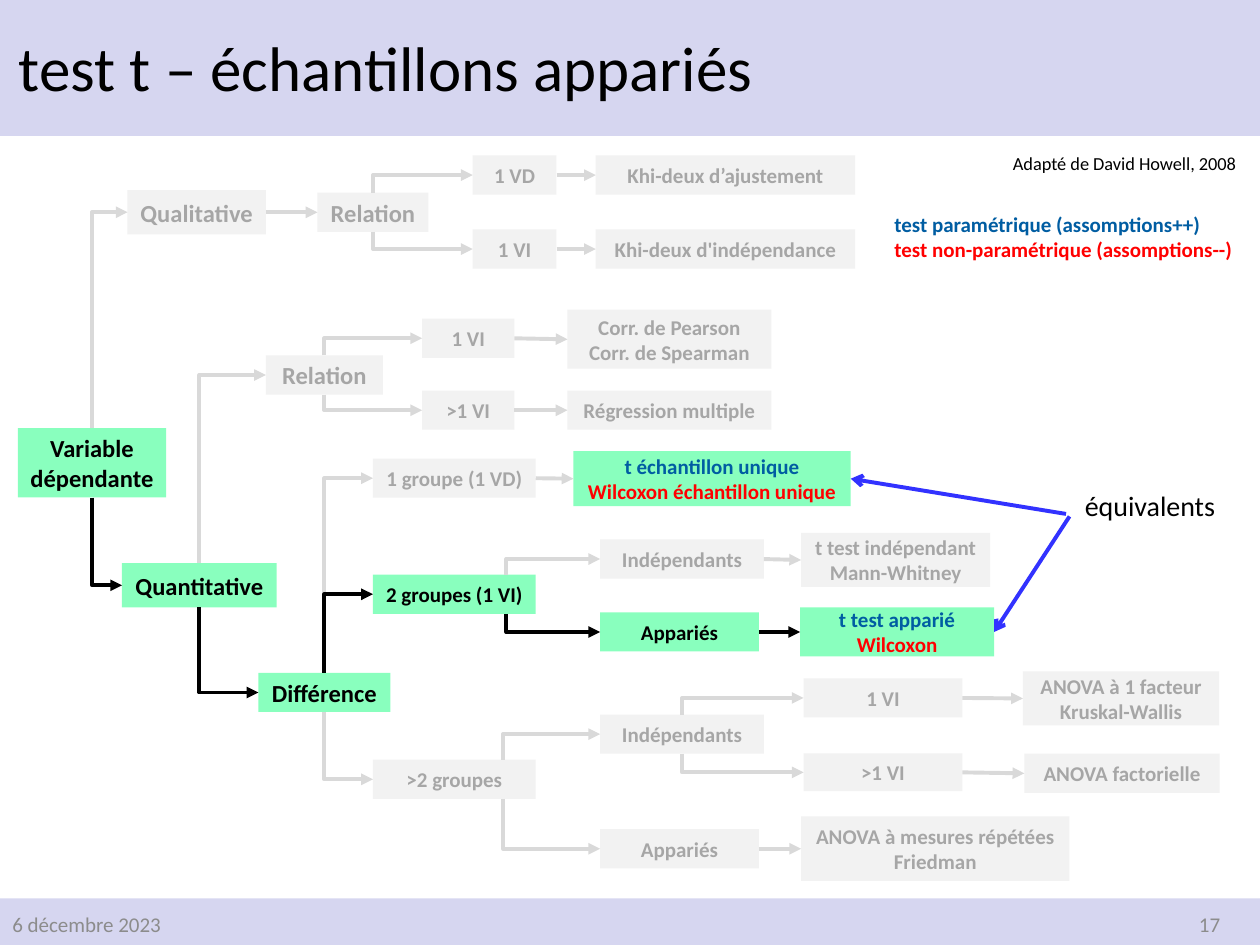
from lxml.etree import SubElement
from pptx import Presentation
from pptx.dml.color import RGBColor
from pptx.enum.shapes import MSO_CONNECTOR, MSO_SHAPE
from pptx.enum.text import MSO_ANCHOR, MSO_AUTO_SIZE, PP_ALIGN
from pptx.oxml.ns import qn
from pptx.util import Cm, Pt

LAVENDER = RGBColor(0xD6, 0xD6, 0xF0)
GREEN = RGBColor(0x89, 0xFF, 0xBE)
PALE = RGBColor(0xF2, 0xF2, 0xF2)
LINE_GREY = RGBColor(0xD9, 0xD9, 0xD9)
TEXT_GREY = RGBColor(0xA6, 0xA6, 0xA6)
FOOTER_GREY = RGBColor(0x8C, 0x8C, 0x8C)
BLACK = RGBColor(0, 0, 0)
BLUE = RGBColor(0x00, 0x5D, 0xA2)
RED = RGBColor(0xFF, 0, 0)
ARROW_BLUE = RGBColor(0x32, 0x32, 0xFF)

TOP, LEFT, BOTTOM, RIGHT = range(4)

NODES = {
    "variable": (0.36, 6.33, 2.99, 1.4, "Variable dépendante", 14),
    "qualitative": (2.57, 1.28, 2.79, 0.89, "Qualitative", 14),
    "quantitative": (2.46, 8.8, 3.12, 0.89, "Quantitative", 14),
    "qual relation": (6.4, 1.28, 2.24, 0.79, "Relation", 14),
    "qual 1 VD": (9.53, 0.53, 1.69, 0.79, "1 VD", 12),
    "qual 1 VI": (9.53, 2.02, 1.69, 0.79, "1 VI", 12),
    "ajustement": (12.01, 0.53, 5.23, 0.79, "Khi-deux d’ajustement", 12),
    "indépendance": (12.01, 2.02, 5.23, 0.79, "Khi-deux d'indépendance", 12),
    "quant relation": (5.36, 4.56, 2.36, 0.79, "Relation", 14),
    "corr 1 VI": (8.51, 3.82, 1.86, 0.79, "1 VI", 12),
    "corr >1 VI": (8.51, 5.27, 1.86, 0.79, ">1 VI", 12),
    "corrélation": (11.44, 3.84, 4.11, 1.19, "Corr. de Pearson\vCorr. de Spearman", 12),
    "régression": (11.44, 5.27, 4.11, 0.79, "Régression multiple", 12),
    "différence": (5.21, 10.96, 2.66, 0.79, "Différence", 14),
    "1 groupe": (7.52, 6.64, 3.28, 0.79, "1 groupe (1 VD)", 12),
    "2 groupes": (7.52, 8.98, 3.28, 0.79, "2 groupes (1 VI)", 12),
    ">2 groupes": (7.52, 12.71, 3.28, 0.79, ">2 groupes", 12),
    "t unique": (11.56, 6.65, 5.59, 1.11,
                 "t échantillon unique\nWilcoxon échantillon unique", 12),
    "2 indépendants": (12.1, 8.27, 3.3, 0.79, "Indépendants", 12),
    "2 appariés": (12.1, 9.74, 3.2, 0.79, "Appariés", 12),
    "t indépendant": (16.15, 8.29, 3.81, 1.09, "t test indépendant\vMann-Whitney", 12),
    "t apparié": (16.13, 9.74, 3.91, 0.99, "t test apparié\vWilcoxon", 12),
    ">2 indépendants": (12.1, 11.8, 3.3, 0.79, "Indépendants", 12),
    ">2 appariés": (12.1, 14.11, 3.2, 0.79, "Appariés", 12),
    "anova 1 VI": (16.2, 11.07, 3.2, 0.79, "1 VI", 12),
    "anova >1 VI": (16.2, 12.57, 3.2, 0.76, ">1 VI", 12),
    "anova 1": (20.62, 11.08, 3.96, 1.09, "ANOVA à 1 facteur\vKruskal-Wallis", 12),
    "factorielle": (20.65, 12.59, 3.94, 0.79, "ANOVA factorielle", 12),
    "mesures": (16.15, 14.11, 5.41, 1.3, "ANOVA à mesures répétées\vFriedman", 12),
}
ACTIVE = {"variable", "quantitative", "différence", "2 groupes", "2 appariés"}
RESULTS = {"t unique", "t apparié"}

BRANCHES = [
    ("variable", 0.5, ("qualitative", "quantitative")),
    ("qual relation", 0.5, ("qual 1 VD", "qual 1 VI")),
    ("quantitative", 0.5, ("quant relation", "différence")),
    ("quant relation", 0.5, ("corr 1 VI", "corr >1 VI")),
    ("différence", 0.5, ("1 groupe", "2 groupes", ">2 groupes")),
    ("2 groupes", 0.82, ("2 indépendants", "2 appariés")),
    (">2 groupes", 0.8, (">2 indépendants", ">2 appariés")),
    (">2 indépendants", 0.5, ("anova 1 VI", "anova >1 VI")),
]
STEPS = [
    ("qualitative", "qual relation"), ("qual 1 VD", "ajustement"),
    ("qual 1 VI", "indépendance"), ("corr 1 VI", "corrélation"),
    ("corr >1 VI", "régression"), ("1 groupe", "t unique"),
    ("2 indépendants", "t indépendant"), ("2 appariés", "t apparié"),
    ("anova 1 VI", "anova 1"), ("anova >1 VI", "factorielle"),
    (">2 appariés", "mesures"),
]


def style_text(tf, size, colors, bold=False, align=PP_ALIGN.LEFT):
    runs = []
    for p in tf.paragraphs:
        p.alignment = align
        runs.extend(p.runs)
    for i, r in enumerate(runs):
        r.font.name = "Calibri"
        r.font.size = Pt(size)
        r.font.bold = bold
        r.font.color.rgb = colors[i % len(colors)]


def add_rect(s, x, y, w, h, fill):
    sp = s.shapes.add_shape(MSO_SHAPE.RECTANGLE, Cm(x), Cm(y), Cm(w), Cm(h))
    sp.shadow.inherit = False
    sp.fill.solid()
    sp.fill.fore_color.rgb = fill
    sp.line.fill.background()
    return sp


def add_text(s, x, y, w, h, text, size, colors, wrap=True, anchor=MSO_ANCHOR.TOP, **style):
    tf = s.shapes.add_textbox(Cm(x), Cm(y), Cm(w), Cm(h)).text_frame
    tf.text = text
    tf.word_wrap = wrap
    tf.auto_size = MSO_AUTO_SIZE.NONE
    tf.vertical_anchor = anchor
    style_text(tf, size, colors, **style)
    return tf


def add_arrow(s, color, head="triangle", x=0, y=0):
    c = s.shapes.add_connector(MSO_CONNECTOR.STRAIGHT, Cm(x), Cm(y), Cm(x), Cm(y))
    c.line.color.rgb = color
    c.line.width = Pt(2.25)
    SubElement(c.line._get_or_add_ln(), qn("a:tailEnd"), type=head)
    SubElement(c._element.spPr, qn("a:effectLst"))
    return c


def add_branch(s, parent, child, exit_at, color):
    c = add_arrow(s, color)
    x = parent.left + int(parent.width * exit_at)
    y = child.top + child.height // 2
    up = y < parent.top
    start = parent.top if up else parent.top + parent.height
    run, rise = child.left - x, abs(y - start)
    c.width, c.height = rise, run
    c.left = x + (run - rise) // 2
    c.top = (start + y - run) // 2
    xfrm = c._element.spPr.find(qn("a:xfrm"))
    xfrm.set("rot", "5400000" if up else "16200000")
    xfrm.set("flipH", "1")
    if up:
        xfrm.set("flipV", "1")
    c._element.spPr.find(qn("a:prstGeom")).set("prst", "bentConnector2")


def add_node(s, x, y, key):
    dx, middle, w, h, text, size = NODES[key]
    lit = key in ACTIVE | RESULTS
    sp = add_rect(s, x + dx, y + middle - h / 2, w, h, GREEN if lit else PALE)
    colors = [BLUE, RED] if key in RESULTS else [BLACK if lit else TEXT_GREY]
    tf = sp.text_frame
    tf.text = text
    tf.word_wrap = True
    tf.vertical_anchor = MSO_ANCHOR.MIDDLE
    style_text(tf, size, colors, bold=True, align=PP_ALIGN.CENTER)
    return sp


def decision_tree(s, x, y):
    nodes = {key: add_node(s, x, y, key) for key in NODES}
    for parent, exit_at, children in BRANCHES:
        for child in children:
            color = BLACK if child in ACTIVE else LINE_GREY
            add_branch(s, nodes[parent], nodes[child], exit_at, color)
    for start, end in STEPS:
        c = add_arrow(s, BLACK if start in ACTIVE else LINE_GREY)
        c.begin_connect(nodes[start], RIGHT)
        c.end_connect(nodes[end], LEFT)
    for key, dx, dy in (("t unique", 21.49, 7.36), ("t apparié", 21.56, 7.41)):
        c = add_arrow(s, ARROW_BLUE, "arrow", x + dx, y + dy)
        c.end_connect(nodes[key], RIGHT)
    add_text(s, x + 21.62, y + 6.73, 3.25, 0.94, "équivalents", 16, [BLACK], wrap=False)


def header(s, x, y):
    add_rect(s, x - 0.99, y - 0.79, 26.95, 3.53, LAVENDER)
    tf = add_text(s, x + 0.13, y + 0.18, 21.82, 2.51, "test t – échantillons appariés",
                  36, [BLACK], anchor=MSO_ANCHOR.MIDDLE)
    tf.paragraphs[0].line_spacing = 0.9


def legend(s, x, y):
    add_text(s, x + 2.39, y, 5.1, 0.71, "Adapté de David Howell, 2008", 10.5, [BLACK], wrap=False)
    add_text(s, x, y + 1.19, 7.42, 1.27,
             "test paramétrique (assomptions++)\ntest non-paramétrique (assomptions--)",
             12, [BLUE, RED], bold=True)


def footer(s, x, y):
    add_rect(s, x - 0.64, y, 26.95, 1.32, LAVENDER)
    for dx, text, align in ((0, "6 décembre 2023", PP_ALIGN.LEFT), (19.13, "17", PP_ALIGN.RIGHT)):
        add_text(s, x + dx, y, 5.72, 1.02, text, 12, [FOOTER_GREY],
                 anchor=MSO_ANCHOR.MIDDLE, align=align)


def main():
    prs = Presentation()
    prs.slide_width, prs.slide_height = Cm(25.4), Cm(19.05)
    s = prs.slides.add_slide(prs.slide_layouts[6])
    header(s, 0, 0)
    footer(s, 0, 18.11)
    decision_tree(s, 0, 3)
    legend(s, 17.78, 2.95)
    prs.save("out.pptx")


if __name__ == "__main__":
    main()
